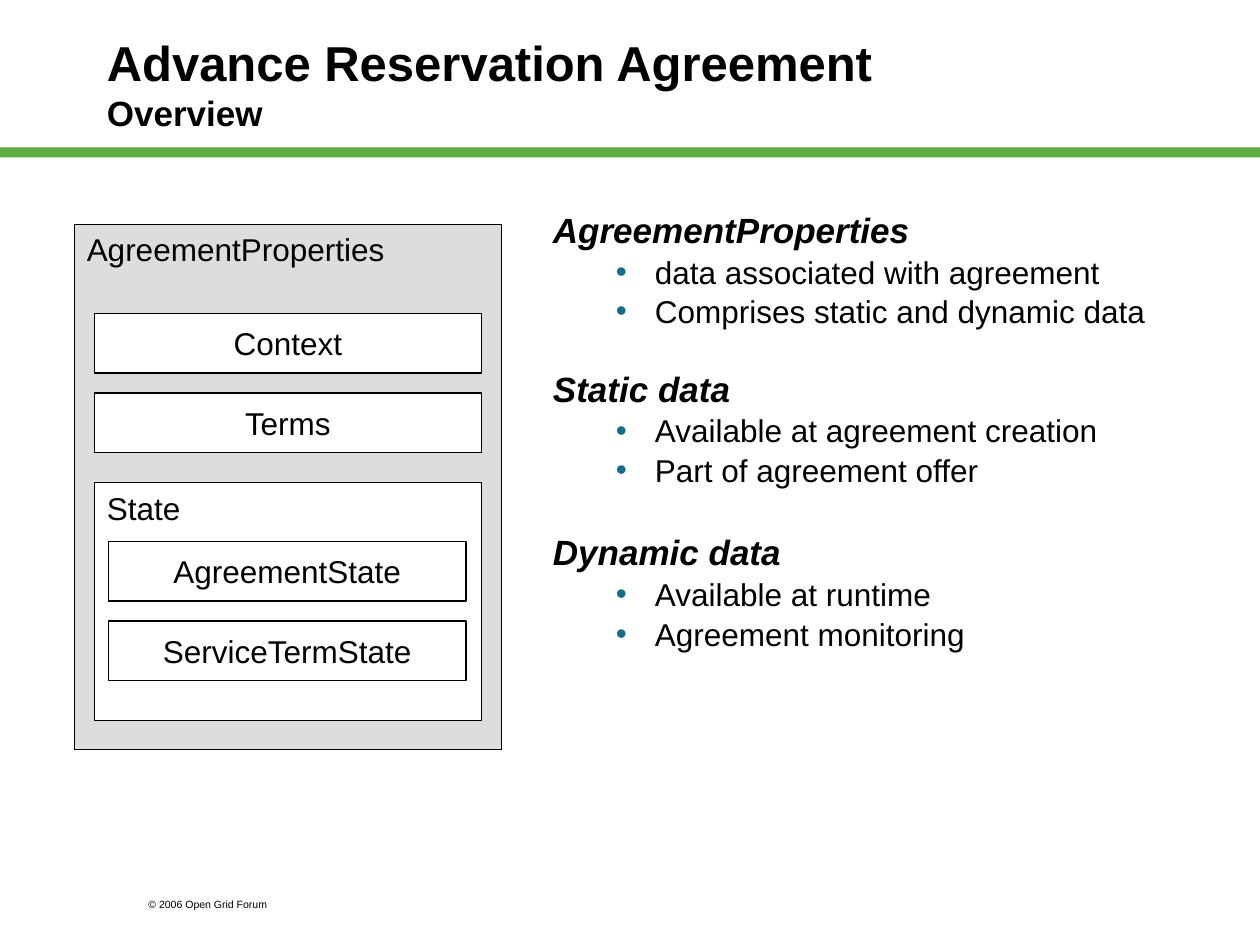
"""Builds the Advance Reservation Agreement overview slide."""
import pptx
import pptx.dml.color
import pptx.enum.shapes
import pptx.enum.text
import pptx.util
import lxml.etree

Inches = pptx.util.Inches
Pt = pptx.util.Pt
Align = pptx.enum.text.PP_ALIGN
Anchor = pptx.enum.text.MSO_ANCHOR


def tint(code):
    return pptx.dml.color.RGBColor.from_string(code)


class Sheet:
    font = "Arial"
    ink = "000000"
    accent = "176D89"

    def __init__(self, slide):
        self.slide = slide

    def run(self, para, text, size, bold=False, italic=False):
        run = para.add_run()
        run.text = text
        font = run.font
        font.name = self.font
        font.size = Pt(size)
        font.bold = bold
        font.italic = italic
        font.color.rgb = tint(self.ink)

    def rect(self, left, top, width, height, fill, line=None):
        shape = self.slide.shapes.add_shape(
            pptx.enum.shapes.MSO_SHAPE.RECTANGLE,
            Inches(left), Inches(top), Inches(width), Inches(height))
        shape.shadow.inherit = False
        shape.fill.solid()
        shape.fill.fore_color.rgb = tint(fill)
        if line:
            shape.line.color.rgb = tint(line)
            shape.line.width = Pt(0.75)
        else:
            shape.line.fill.background()
        return shape

    def box(self, left, top, width, height, text, fill="FFFFFF", label=False):
        frame = self.rect(left, top, width, height, fill, self.ink).text_frame
        frame.word_wrap = True
        frame.vertical_anchor = Anchor.TOP if label else Anchor.MIDDLE
        para = frame.paragraphs[0]
        para.alignment = Align.LEFT if label else Align.CENTER
        self.run(para, text, 18)

    def text(self, left, top, width, height, anchor=Anchor.TOP):
        frame = self.slide.shapes.add_textbox(
            Inches(left), Inches(top), Inches(width), Inches(height)).text_frame
        frame.word_wrap = True
        frame.vertical_anchor = anchor
        return frame

    def indent(self, para, margin, hang):
        props = para._p.get_or_add_pPr()
        props.set("marL", str(Inches(margin)))
        props.set("indent", str(-Inches(hang)))
        para.line_spacing = 0.8
        return props

    def head(self, para, text, gap):
        self.indent(para, 0.38, 0.38)
        if gap:
            para.space_before = Pt(gap)
        self.run(para, text, 20, bold=True, italic=True)

    def bullet(self, para, text):
        props = self.indent(para, 0.81, 0.31)
        para.space_before = Pt(5.5)
        space = "{%s}" % props.nsmap["a"]
        color = lxml.etree.SubElement(props, space + "buClr")
        lxml.etree.SubElement(color, space + "srgbClr", val=self.accent)
        lxml.etree.SubElement(props, space + "buFont", typeface=self.font)
        lxml.etree.SubElement(props, space + "buChar", char="•")
        self.run(para, text, 18)


def main():
    deck = pptx.Presentation()
    deck.slide_width = Inches(10)
    deck.slide_height = Inches(7.5)
    sheet = Sheet(deck.slides.add_slide(deck.slide_layouts[6]))

    sheet.rect(0, 1.17, 10, 0.08, "5DAD41")
    footer = sheet.text(1.08, 7.08, 1.5, 0.2)
    sheet.run(footer.paragraphs[0], "© 2006 Open Grid Forum", 6)

    title = sheet.text(0.75, 0.17, 8.5, 0.98, Anchor.MIDDLE).paragraphs[0]
    sheet.run(title, "Advance Reservation Agreement", 28, bold=True)
    title.add_line_break()
    sheet.run(title, "Overview", 20, bold=True)

    sheet.box(0.59, 1.78, 3.39, 4.17, "AgreementProperties", "DDDDDD", label=True)
    sheet.box(0.75, 3.83, 3.07, 1.89, "State", label=True)
    stacks = [
        (0.75, 2.49, 3.07, ["Context", "Terms"]),
        (0.86, 4.3, 2.84, ["AgreementState", "ServiceTermState"]),
    ]
    for left, top, width, names in stacks:
        for row, name in enumerate(names):
            sheet.box(left, top + row * 0.63, width, 0.47, name)

    groups = [
        ("AgreementProperties", 0,
         ["data associated with agreement", "Comprises static and dynamic data"]),
        ("Static data", 26,
         ["Available at agreement creation", "Part of agreement offer"]),
        ("Dynamic data", 28.5,
         ["Available at runtime", "Agreement monitoring"]),
    ]
    body = sheet.text(4.29, 1.67, 5.43, 4.5)
    for name, gap, items in groups:
        para = body.add_paragraph() if gap else body.paragraphs[0]
        sheet.head(para, name, gap)
        for item in items:
            sheet.bullet(body.add_paragraph(), item)

    deck.save("out.pptx")


if __name__ == "__main__":
    main()
